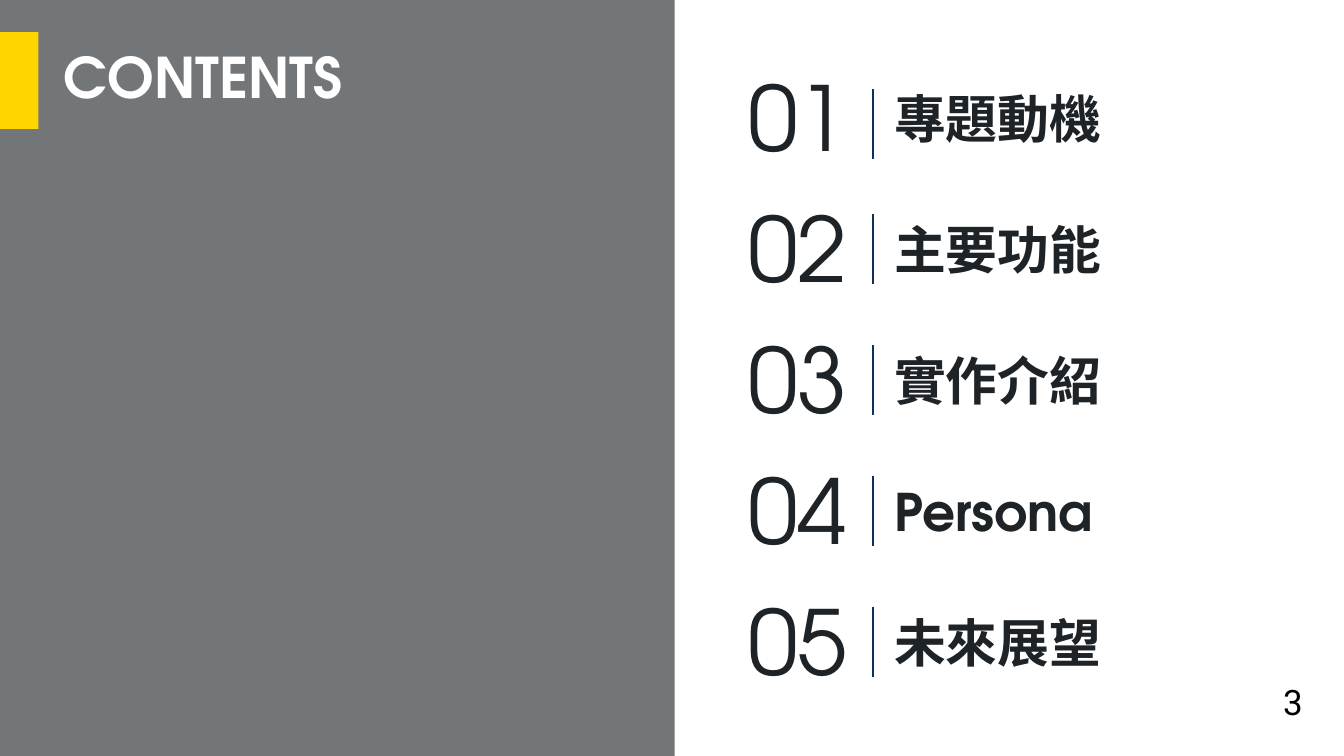
from lxml import etree
from pptx import Presentation
from pptx.dml.color import RGBColor
from pptx.enum.shapes import MSO_CONNECTOR, MSO_SHAPE
from pptx.enum.text import MSO_ANCHOR, MSO_AUTO_SIZE, PP_ALIGN
from pptx.oxml.ns import qn
from pptx.util import Inches, Pt

RECT, LINE = MSO_SHAPE.RECTANGLE, MSO_CONNECTOR.STRAIGHT
TOP, MIDDLE = MSO_ANCHOR.TOP, MSO_ANCHOR.MIDDLE
LEFT, RIGHT = PP_ALIGN.LEFT, PP_ALIGN.RIGHT
GROW, FIXED = MSO_AUTO_SIZE.SHAPE_TO_FIT_TEXT, MSO_AUTO_SIZE.NONE
WIDE, HIGH = 13.33, 7.5
INK, WHITE, GOLD, NAVY = "1E2327", "FFFFFF", "FFD600", "103154"
LATIN, HAN = "TeX Gyre Adventor", "Noto Sans CJK SC"
PITCH = 1.3
TOPICS = [
    ("專題動機", HAN, 0.32),
    ("主要功能", HAN, 0.26),
    ("實作介紹", HAN, 0.26),
    ("Persona", LATIN, 0.26),
    ("未來展望", HAN, 0.26),
]


def color(code):
    return RGBColor.from_string(code)


def add_text(slide, text, box, font=LATIN, size=37, ink=INK, bold=False,
             align=LEFT, anchor=MIDDLE, wrap=True, fit=GROW, pitch=None,
             before=0):
    frame = slide.shapes.add_textbox(*map(Inches, box)).text_frame
    frame.margin_left = frame.margin_right = Inches(0.05)
    frame.margin_top = frame.margin_bottom = Inches(0.05)
    frame.word_wrap, frame.auto_size = wrap, fit
    frame.vertical_anchor = anchor
    para = frame.paragraphs[0]
    para.alignment, para.line_spacing = align, pitch
    para.space_before = Pt(before)
    run = para.add_run()
    run.text = text
    face = run.font
    face.name, face.size, face.bold = font, Pt(size), bold
    face.color.rgb = color(ink)
    latin = run._r.rPr.find(qn("a:latin"))
    east = etree.Element(qn("a:ea"), typeface=font)
    latin.addnext(east)


def add_panel(slide, box, code, alpha=None):
    panel = slide.shapes.add_shape(RECT, *map(Inches, box))
    panel.shadow.inherit = False
    panel.fill.solid()
    panel.fill.fore_color.rgb = color(code)
    panel.line.fill.background()
    if alpha:
        tint = panel._element.spPr.find(qn("a:solidFill"))[0]
        etree.SubElement(tint, qn("a:alpha"), val=str(alpha * 1000))


def add_rule(slide, x, y, length):
    rule = slide.shapes.add_connector(
        LINE, Inches(x), Inches(y), Inches(x), Inches(y + length))
    rule.line.color.rgb = color(NAVY)
    rule.line.width = Pt(1)
    etree.SubElement(rule._element.spPr, qn("a:effectLst"))


def add_title(slide, x, y, width, height):
    add_panel(slide, (x, y, 0.38, height), GOLD)
    add_text(slide, "CONTENTS", (x + 0.58, y, width - 0.58, height), size=40,
             ink=WHITE, bold=True, fit=FIXED, pitch=0.9, before=10)


def add_topic(slide, x, y, width, number, topic, font, drop):
    add_text(slide, f"{number:02}", (x, y, 1.1, 1.18), size=64,
             anchor=TOP, wrap=False)
    add_rule(slide, x + 1.29, y + drop, 0.7)
    add_text(slide, topic, (x + 1.45, y + 0.17, width - 1.45, 0.82),
             font=font, bold=True, pitch=1.1)


def add_agenda(slide, x, y, width):
    for row, (topic, font, drop) in enumerate(TOPICS):
        add_topic(slide, x, y + row * PITCH, width, row + 1, topic, font, drop)


def main():
    deck = Presentation()
    deck.slide_width, deck.slide_height = Inches(WIDE), Inches(HIGH)
    slide = deck.slides.add_slide(deck.slide_layouts[6])
    half = 6.69
    add_panel(slide, (0, 0, WIDE, HIGH), INK, alpha=62)
    add_panel(slide, (half, 0, WIDE - half, HIGH), WHITE)
    add_title(slide, 0, 0.32, 5.57, 0.96)
    add_agenda(slide, half + 0.68, 0.56, 5.31)
    add_text(slide, "3", (12.62, 6.69, 0.35, 0.53), font="Roboto", size=25,
             ink="000000", align=RIGHT)
    deck.save("out.pptx")


if __name__ == "__main__":
    main()
